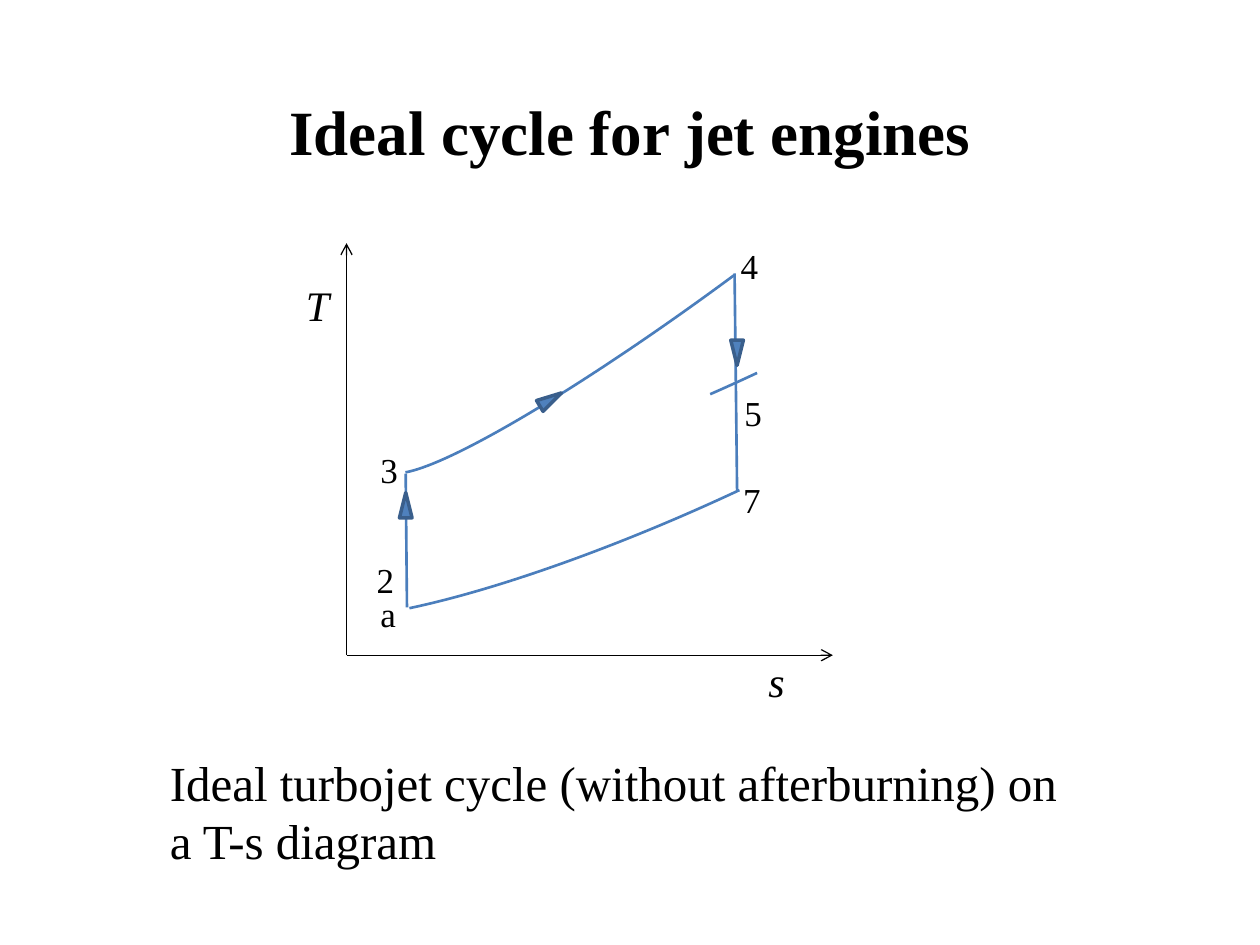
from lxml import etree
from pptx import Presentation
from pptx.dml.color import RGBColor
from pptx.enum.shapes import MSO_CONNECTOR, MSO_SHAPE
from pptx.enum.text import MSO_ANCHOR, MSO_AUTO_SIZE, PP_ALIGN
from pptx.oxml.ns import qn
from pptx.util import Inches, Pt

STRAIGHT = MSO_CONNECTOR.STRAIGHT
ARC, MERGE = MSO_SHAPE.ARC, MSO_SHAPE.FLOWCHART_MERGE
LEFT, CENTER = PP_ALIGN.LEFT, PP_ALIGN.CENTER
TOP, BOTTOM = MSO_ANCHOR.TOP, MSO_ANCHOR.BOTTOM
GROW, FIXED = MSO_AUTO_SIZE.SHAPE_TO_FIT_TEXT, MSO_AUTO_SIZE.NONE

COLORS = {"text": "000000", "cycle": "4B7EBC",
          "arrow": "4F81BD", "arrow_edge": "3A5F8C"}
COLORS = {name: RGBColor.from_string(value) for name, value in COLORS.items()}

prs = Presentation()
prs.slide_width, prs.slide_height = Inches(10), Inches(7.5)
slide = prs.slides.add_slide(prs.slide_layouts[6])
shapes = slide.shapes


def add_text(text, box, size=20, bold=False, italic=False, align=LEFT,
             anchor=TOP, wrap=True, fit=GROW):
    label = shapes.add_textbox(*map(Inches, box))
    frame = label.text_frame
    frame.word_wrap, frame.auto_size, frame.vertical_anchor = wrap, fit, anchor
    paragraph = frame.paragraphs[0]
    paragraph.alignment = align
    run = paragraph.add_run()
    run.text = text
    font = run.font
    font.name, font.size, font.bold, font.italic = "Times New Roman", Pt(size), bold, italic
    font.color.rgb = COLORS["text"]


def add_line(start, end, color, width, arrow=False):
    line = shapes.add_connector(STRAIGHT, *map(Inches, start + end))
    line.line.color.rgb = COLORS[color]
    line.line.width = Pt(width)
    if arrow:
        etree.SubElement(line.line._get_or_add_ln(), qn("a:tailEnd"), type="arrow")
    etree.SubElement(line._element.spPr, qn("a:effectLst"))


# Title
add_text("Ideal cycle for jet engines", (0.5, 0.63, 9, 0.75), size=36, bold=True,
         align=CENTER, anchor=BOTTOM, fit=FIXED)

# Axes
origin = (2.75, 5.2)
for axis_end in [(6.61, 5.2), (2.75, 1.93)]:
    add_line(origin, axis_end, "text", 0.75, arrow=True)
add_text("s", (6, 5.15, 0.33, 0.5), size=24, italic=True, wrap=False)
add_text("T", (2.33, 2.17, 0.39, 0.5), size=24, italic=True, wrap=False)

# Expansion 4-7 and compression 2-3
add_line((5.85, 3.9), (5.83, 2.17), "cycle", 1.5)
add_line((3.23, 4.82), (3.22, 3.76), "cycle", 1.5)

# Curves a-7 and 3-4, and the tick at 5
for box, rotation, angles in [
    ((2.09, 2.96, 6.24, 1.17), 156.5, (138.68, 210.2)),
    ((2.47, 1.48, 6.25, 0.78), 143.5, (162, 214.91)),
    ((2.23, 2.03, 6.24, 1.17), 156.5, (138.68, 158.62)),
]:
    curve = shapes.add_shape(ARC, *map(Inches, box))
    curve.adjustments[0], curve.adjustments[1] = angles
    curve.rotation = rotation
    curve.shadow.inherit = False
    curve.fill.background()
    curve.line.color.rgb = COLORS["cycle"]
    curve.line.width = Pt(1.5)

# Direction arrows
for left, top, rotation in [(5.8, 2.7, 0), (4.32, 3.07, 239), (3.17, 3.91, 180)]:
    direction = shapes.add_shape(MERGE, Inches(left), Inches(top), Inches(0.1), Inches(0.2))
    direction.rotation = rotation
    direction.shadow.inherit = False
    direction.fill.solid()
    direction.fill.fore_color.rgb = COLORS["arrow"]
    direction.line.color.rgb = COLORS["arrow_edge"]
    direction.line.width = Pt(2)

# State points
for state, left, top, width in [
    ("2", 2.89, 4.38, 0.43), ("4", 5.78, 1.89, 0.34), ("5", 5.81, 3.06, 0.3),
    ("3", 2.92, 3.51, 0.42), ("a", 2.92, 4.65, 0.43), ("7", 5.8, 3.75, 0.43),
]:
    add_text(state, (left, top, width, 0.44), wrap=state != "4")

# Caption
add_text("Ideal turbojet cycle (without afterburning) on a T-s diagram",
         (1.25, 5.92, 7.42, 1.04), size=28)

prs.save("out.pptx")
